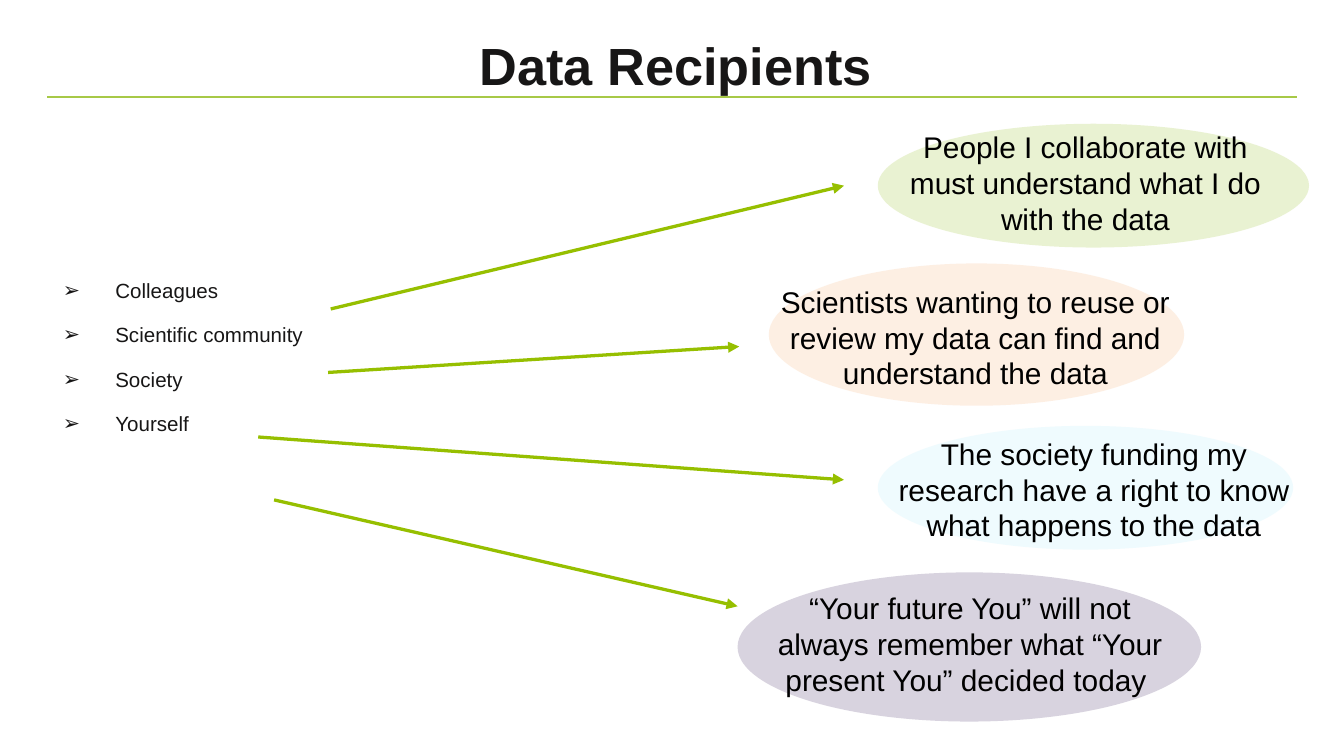
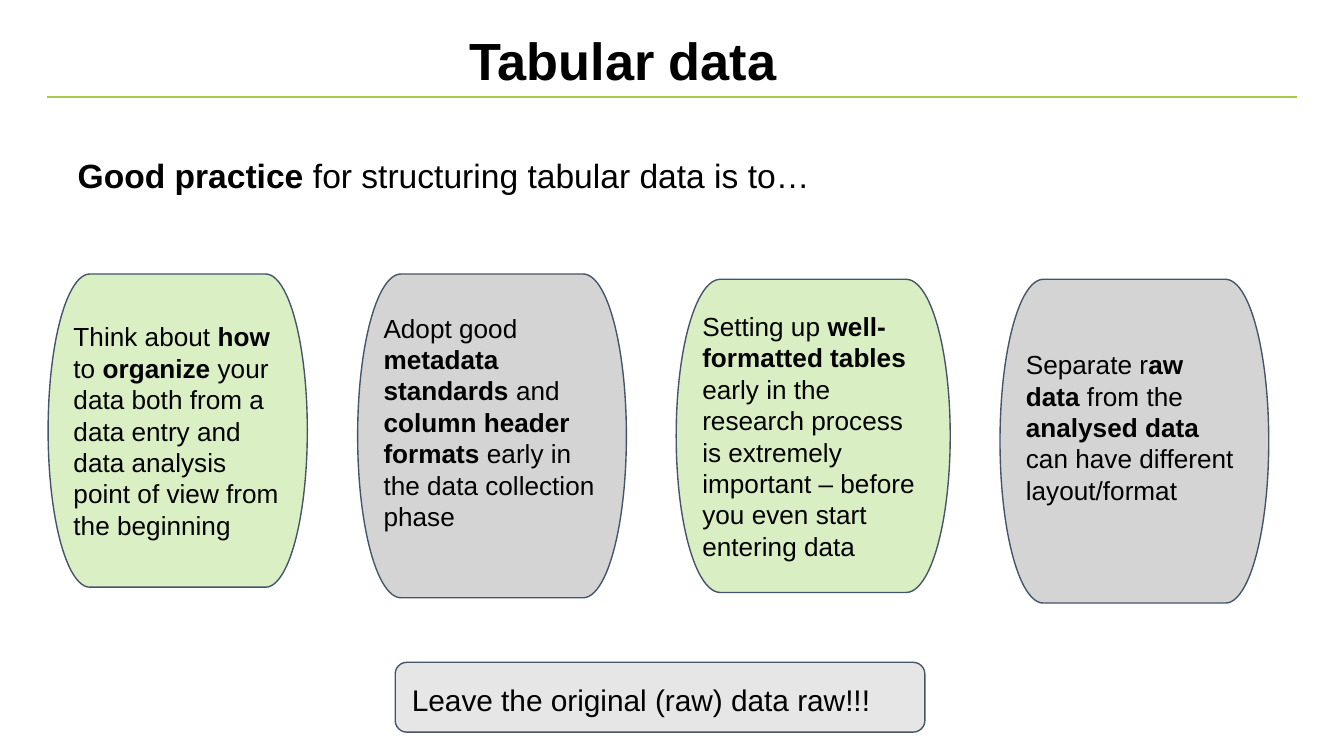
import pptx
import pptx.util
import pptx.dml.color
import pptx.enum.shapes
import pptx.enum.text
import pptx.oxml.ns
from lxml import etree

Cm = pptx.util.Cm
Pt = pptx.util.Pt
SHAPES = pptx.enum.shapes.MSO_SHAPE
ANCHOR = pptx.enum.text.MSO_ANCHOR
ALIGN = pptx.enum.text.PP_ALIGN

# Shared style
FONT = "Arial"
BLACK = "000000"
INK = "171616"
RULE = "A7C947"
ARROW = "96BF00"
OUTLINE = "44546A"
GREY = "D4D4D4"
SIDE = 0.25

# Data recipients: ellipse colour, ellipse box, text position and width, text
RECIPIENTS = [
    ("A7C947", (16.59, 2.34, 8.15, 2.34), (16.69, 2.31, 7.65),
     "People I collaborate with must understand what I do with the data"),
    ("FABF8E", (14.53, 4.98, 7.85, 2.69), (14.27, 5.23, 8.33),
     "Scientists wanting to reuse or review my data can find and understand the data"),
    ("C0F0FE", (16.59, 8.05, 7.85, 2.34), (16.46, 8.1, 8.43),
     "The society funding my research have a right to know what happens to the data"),
    ("5F497A", (13.94, 10.82, 8.76, 2.82), (14.12, 11.02, 8.43),
     "“Your future You” will not always remember what “Your present You” decided today "),
]
ARROWS = [
    (6.25, 5.84, 15.95, 3.51),
    (6.2, 7.04, 13.97, 6.55),
    (4.88, 8.26, 15.95, 9.07),
    (5.18, 9.45, 13.94, 11.46),
]
GROUPS = ["Colleagues", "Scientific community", "Society", "Yourself"]

# Practice cards: box, fill, opacity, bottom inset, text with *bold* parts
CARDS = [
    ((0.91, 5.18, 4.9, 5.92), "DAEFC4", 100, SIDE,
     "Think about* how* to* organize* your data both from a data entry "
     "and data analysis point of view from the beginning"),
    ((6.76, 5.18, 5.08, 6.12), GREY, 100, 0.78,
     "Adopt good *metadata standards* and *column header formats* "
     "early in the data collection phase"),
    ((12.78, 5.28, 5.18, 5.92), "92D050", 34, SIDE,
     "Setting up *well-formatted tables *early in the research process "
     "is extremely important – before you even start entering data"),
    ((18.9, 5.28, 5.08, 6.12), GREY, 100, 0.78,
     "Separate r*aw data* from the *analysed data *can have different layout/format"),
]


def color(value):
    return pptx.dml.color.RGBColor.from_string(value)


def add_element(parent, tag, **attributes):
    return etree.SubElement(parent, pptx.oxml.ns.qn(tag), attributes)


def write(box, text, size, ink=BLACK, align=ALIGN.LEFT, anchor=ANCHOR.TOP,
          top=SIDE, bottom=SIDE):
    """Fill a box with one paragraph; parts between asterisks are bold."""
    frame = box.text_frame
    frame.word_wrap = True
    frame.vertical_anchor = anchor
    frame.margin_left = frame.margin_right = Cm(SIDE)
    frame.margin_top, frame.margin_bottom = Cm(top), Cm(bottom)
    para = frame.paragraphs[0]
    para.alignment = align
    for index, part in enumerate(text.split("*")):
        if part:
            span = para.add_run()
            span.text = part
            span.font.name = FONT
            span.font.size = Pt(size)
            span.font.bold = index % 2 == 1
            span.font.color.rgb = color(ink)
    return para


def add_text(page, box, text, size, **style):
    return write(page.shapes.add_textbox(*map(Cm, box)), text, size, **style)


def add_filled(page, kind, box, fill, opacity=100, outline=None):
    shape = page.shapes.add_shape(kind, *map(Cm, box))
    shape.shadow.inherit = False
    shape.fill.solid()
    shape.fill.fore_color.rgb = color(fill)
    if opacity < 100:
        tint = shape.fill._xPr.find(".//" + pptx.oxml.ns.qn("a:srgbClr"))
        add_element(tint, "a:alpha", val=str(opacity * 1000))
    if outline:
        shape.line.color.rgb = color(outline)
        shape.line.width = Pt(0.75)
    else:
        shape.line.fill.background()
    return shape


def add_line(page, ends, ink, width, arrow=False):
    line = page.shapes.add_connector(
        pptx.enum.shapes.MSO_CONNECTOR.STRAIGHT, *map(Cm, ends))
    line.line.color.rgb = color(ink)
    line.line.width = Pt(width)
    if arrow:
        add_element(line.line._get_or_add_ln(), "a:tailEnd", type="triangle")
    add_element(line._element.spPr, "a:effectLst")


def add_bullets(page, box, items, size):
    frame = page.shapes.add_textbox(*map(Cm, box)).text_frame
    frame.word_wrap = True
    frame.margin_left = frame.margin_top = Cm(SIDE)
    for index, item in enumerate(items):
        para = frame.add_paragraph() if index else frame.paragraphs[0]
        para.text = item
        properties = para._p.get_or_add_pPr()
        properties.set("marL", str(Cm(1.27)))
        properties.set("indent", str(Cm(-0.99)))
        tint = add_element(properties, "a:buClr")
        add_element(tint, "a:srgbClr", val=INK)
        add_element(properties, "a:buFont", typeface=FONT)
        add_element(properties, "a:buChar", char="➢")
        if index:
            para.space_before = Pt(10.5)
        span = para.runs[0]
        span.font.name = FONT
        span.font.size = Pt(size)
        span.font.color.rgb = color(INK)


def add_page(deck, title, title_box, ink):
    """Blank page with the green rule and a centred bold title."""
    page = deck.slides.add_slide(deck.slide_layouts[6])
    add_line(page, (0.89, 1.83, 24.51, 1.83), RULE, 1)
    add_text(page, title_box, f"*{title}*", 28, ink=ink, align=ALIGN.CENTER)
    return page


def build_recipients(deck):
    page = add_page(deck, "Data Recipients", (0.97, 0.38, 23.6, 1.14), INK)
    add_bullets(page, (0.66, 5.01, 8.43, 5.89), GROUPS, 11)
    for ends in ARROWS:
        add_line(page, ends, ARROW, 1.75, arrow=True)
    for fill, ellipse, place, text in RECIPIENTS:
        add_filled(page, SHAPES.OVAL, ellipse, fill, opacity=24)
        add_text(page, (*place, 2.31), text, 16, align=ALIGN.CENTER,
                 top=0.13, bottom=0.13)


def build_tabular(deck):
    page = add_page(deck, "Tabular data", (4.22, 0.29, 15.11, 1.32), BLACK)
    add_text(page, (1.22, 2.67, 19.69, 1.27),
             "*Good practice* for structuring tabular data is to…", 18)
    for box, fill, opacity, bottom, text in CARDS:
        card = add_filled(page, SHAPES.FLOWCHART_TERMINATOR, box, fill, opacity, OUTLINE)
        write(card, text, 14, anchor=ANCHOR.MIDDLE, bottom=bottom)
    # Closing reminder
    reminder = add_filled(page, SHAPES.ROUNDED_RECTANGLE, (7.47, 12.52, 10.01, 1.32),
                          "E7E6E6", outline=OUTLINE)
    para = write(reminder, "Leave the original (raw) data raw!!!", 16,
                 anchor=ANCHOR.MIDDLE)
    para.line_spacing = 1.15


def main():
    deck = pptx.Presentation()
    deck.slide_width, deck.slide_height = Cm(25.4), Cm(14.29)
    build_recipients(deck)
    build_tabular(deck)
    deck.save("out.pptx")


if __name__ == "__main__":
    main()
